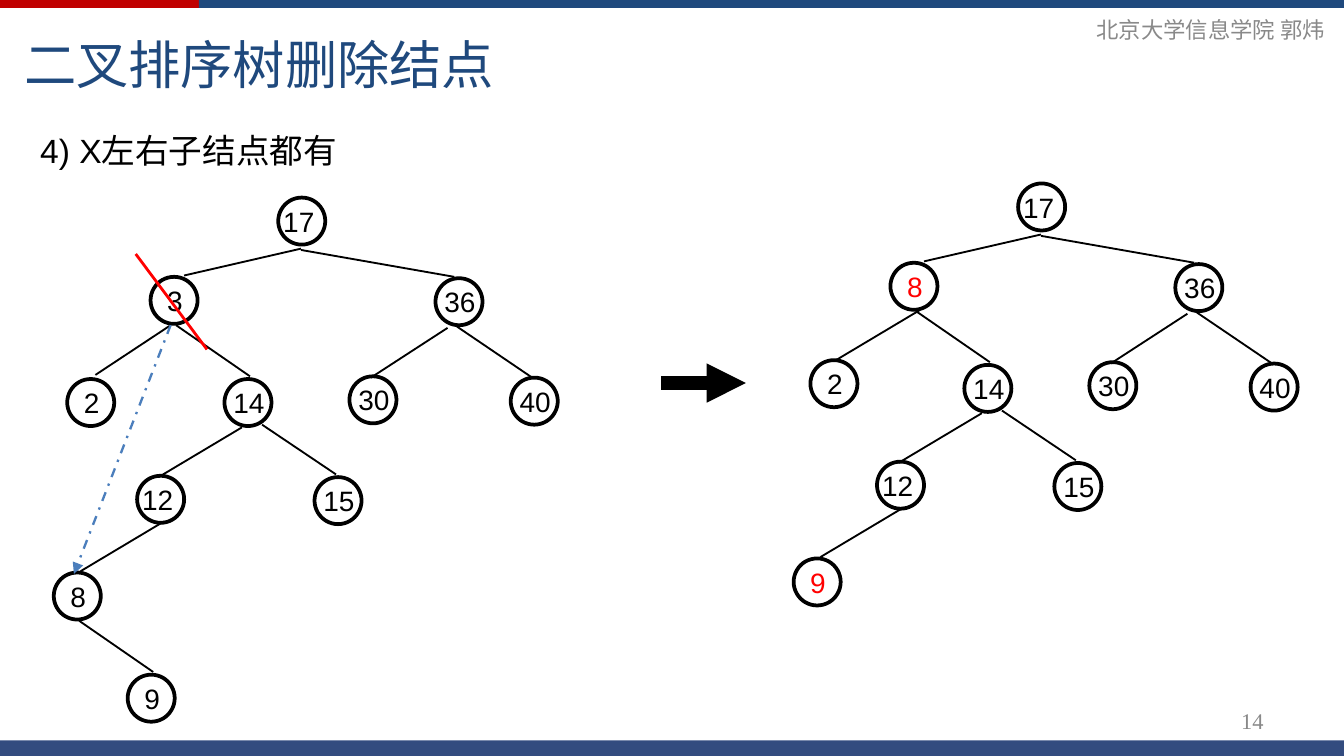
from dataclasses import dataclass

from lxml import etree
from pptx import Presentation
from pptx.dml.color import RGBColor
from pptx.enum.dml import MSO_LINE
from pptx.enum.shapes import MSO_CONNECTOR, MSO_SHAPE
from pptx.enum.text import MSO_ANCHOR, MSO_AUTO_SIZE, PP_ALIGN
from pptx.oxml.ns import qn
from pptx.util import Inches, Pt

STRAIGHT = MSO_CONNECTOR.STRAIGHT
RECT, OVAL = MSO_SHAPE.RECTANGLE, MSO_SHAPE.OVAL
LEFT, RIGHT = PP_ALIGN.LEFT, PP_ALIGN.RIGHT
TOP, MIDDLE = MSO_ANCHOR.TOP, MSO_ANCHOR.MIDDLE
FIT, FIXED = MSO_AUTO_SIZE.SHAPE_TO_FIT_TEXT, MSO_AUTO_SIZE.NONE
DASH_DOT = MSO_LINE.DASH_DOT


@dataclass(frozen=True)
class Theme:
    black: str = "000000"
    red: str = "FF0000"
    crimson: str = "C00000"
    navy: str = "1F497D"
    footer: str = "002060"
    blue: str = "4B7EBC"
    gray: str = "898989"
    title: float = 28
    body: float = 18
    label: float = 15
    small: float = 12
    sans: str = "Arial"
    serif: str = "Times New Roman"


T = Theme()
COLS, ROWS = 100, 56.25
CELL = Inches(0.1)  # columns and rows are square

prs = Presentation()
prs.slide_width, prs.slide_height = int(COLS * CELL), int(ROWS * CELL)
s = prs.slides.add_slide(prs.slide_layouts[5])


def add_text(text, box, sp=None, size=T.label, color=T.black, font=T.sans,
             align=LEFT, anchor=TOP, wrap=True, fit=FIXED):
    """Write text into sp, or into a new text box, placed at box in cells."""
    sp = sp or s.shapes.add_textbox(0, 0, 0, 0)
    sp.left, sp.top, sp.width, sp.height = [int(v * CELL) for v in box]
    tf = sp.text_frame
    tf.word_wrap, tf.auto_size, tf.vertical_anchor = wrap, fit, anchor
    p = tf.paragraphs[0]
    p.alignment = align
    r = p.add_run()
    r.text = text
    r.font.size, r.font.name = Pt(size), font
    r.font.color.rgb = RGBColor.from_string(color)


def add_line(x1, y1, x2, y2, color=T.black, width=1, dash=None, arrow=False):
    c = s.shapes.add_connector(STRAIGHT, *[int(v * CELL) for v in (x1, y1, x2, y2)])
    c.line.color.rgb = RGBColor.from_string(color)
    c.line.width = Pt(width)
    if dash:
        c.line.dash_style = dash
    sp_pr = c.line._get_or_add_ln().getparent()
    if arrow:
        etree.SubElement(sp_pr.find(qn("a:ln")), qn("a:tailEnd"), type="triangle")
    etree.SubElement(sp_pr, qn("a:effectLst"))


# Header and footer bars
BAR, FOOT = 0.6, 1.15
for x, y, w, h, color, alpha in (
    (0, 0, COLS, BAR, T.crimson, 100),
    (14.8, 0, COLS - 14.8, BAR, T.navy, 100),
    (0, ROWS - FOOT, COLS, FOOT, T.footer, 80),
):
    sp = s.shapes.add_shape(RECT, *[int(v * CELL) for v in (x, y, w, h)])
    sp.shadow.inherit = False
    sp.fill.solid()
    sp.fill.fore_color.rgb = RGBColor.from_string(color)
    sp.line.fill.background()
    if alpha < 100:
        clr = sp.fill._xPr.find(".//" + qn("a:srgbClr"))
        etree.SubElement(clr, qn("a:alpha"), val=str(alpha * 1000))

small = dict(size=T.small, color=T.gray, font=T.serif, align=RIGHT, anchor=MIDDLE)
add_text("北京大学信息学院 郭炜", (76.3, 0.7, 23.3, 3), **small)
add_text("14", (71.7, 52.1, 23.3, 3), **small)
add_text("二叉排序树删除结点", (0.8, 1.6, 99.2, 6.2), sp=s.shapes.title,
         size=T.title, color=T.navy, anchor=MIDDLE)
add_text("4) X左右子结点都有", (2, 9.2, 87.5, 4), size=T.body, fit=FIT)

# Both trees share one layout; the second is shifted by a fixed offset
D = 3.5
SHIFT = (55.05, -1.05)
# left, top, label before deletion, label after deletion
nodes = [
    (20.7, 14.7, "17", "17"),
    (11.2, 20.6, " 3", " 8"),
    (32.4, 20.7, " 36", " 36"),
    (5, 28.2, " 2", None),
    (5.25, 27.85, None, " 2"),
    (16.7, 28.2, " 14", " 14"),
    (26, 28, " 30", " 30"),
    (38, 28.1, " 40", " 40"),
    (10.2, 35.4, "12", "12"),
    (23.4, 35.5, " 15", " 15"),
    (4, 42.6, " 8", " 9"),
    (9.5, 50.2, " 9", None),
]
shared_edges = [
    (22.4, 18.5, 13.7, 20.5), (33.8, 20.6, 22.4, 18.6),
    (18.6, 28, 13.1, 24.2), (33.3, 24.4, 27.6, 28.1),
    (39.6, 28.1, 34, 24.3), (25, 35.3, 19.5, 31.6),
    (18, 31.8, 11.8, 35.5), (12.2, 38.8, 6, 42.5),
]
trees = [
    ((0, 0), 2, shared_edges + [(12.7, 24.2, 7.1, 27.9), (11.4, 50, 5.9, 46.2)]),
    (SHIFT, 3, shared_edges + [(13.35, 24.15, 7.15, 27.85)]),
]
for (dx, dy), column, edges in trees:
    for x1, y1, x2, y2 in edges:
        add_line(x1 + dx, y1 + dy, x2 + dx, y2 + dy)
    for node in nodes:
        label = node[column]
        if label is None:
            continue
        x, y = node[0] + dx, node[1] + dy
        sp = s.shapes.add_shape(OVAL, *[int(v * CELL) for v in (x, y, D, D)])
        sp.shadow.inherit = False
        sp.fill.background()
        sp.line.color.rgb = RGBColor.from_string(T.black)
        sp.line.width = Pt(2)
        moved = node[2] and label != node[2]
        spaces = label.count(" ")
        w = 2 + 1.16 * (len(label) - spaces) + 0.58 * spaces
        add_text(label, (x + D / 2 - w / 2 - 0.2, y, w, D), wrap=False, fit=FIT,
                 color=T.red if moved else T.black)

# Strike out the deleted node, point to its successor, and lead to the result
add_line(10.1, 18.9, 15.4, 26, color=T.red, width=1.5)
add_line(12.7, 24.2, 5.5, 42.7, color=T.blue, width=1.25, dash=DASH_DOT, arrow=True)
add_line(49.2, 28.5, 55.5, 28.5, width=7, arrow=True)

prs.save("out.pptx")
